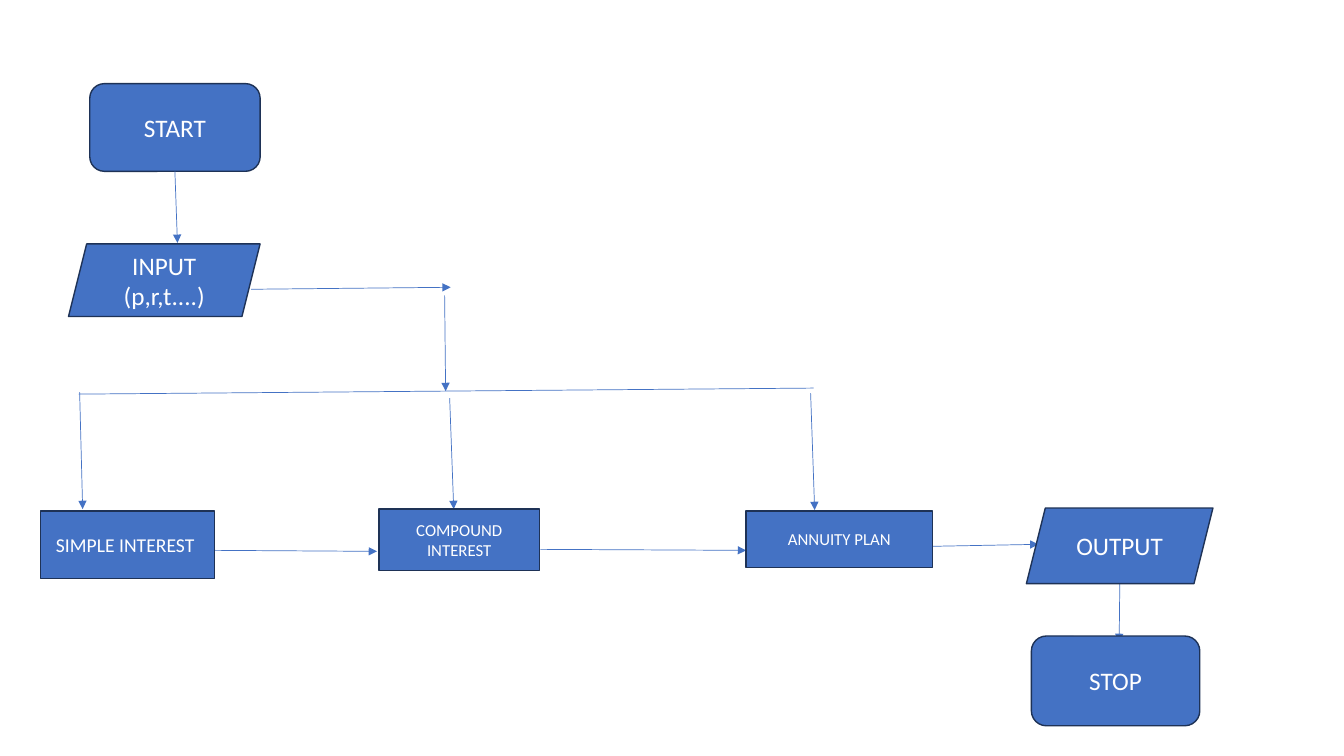
"""Draw a flowchart of an interest calculator on one slide."""
import pptx
import pptx.util
import pptx.dml.color
import pptx.enum.shapes
import pptx.enum.text
import pptx.oxml
import pptx.oxml.ns

Inches = pptx.util.Inches
Pt = pptx.util.Pt
KIND = pptx.enum.shapes.MSO_SHAPE
COLORS = {"fill": "4472C4", "edge": "1E3256", "text": "FFFFFF"}

deck = pptx.Presentation()
deck.slide_width = Inches(13.33)
deck.slide_height = Inches(7.5)
slide = deck.slides.add_slide(deck.slide_layouts[6])


def rgb(name):
    return pptx.dml.color.RGBColor.from_string(COLORS[name])


def add_box(text, kind=KIND.RECTANGLE, place=(0, 0, 1, 1), size=18):
    box = slide.shapes.add_shape(kind, *map(Inches, place))
    box.shadow.inherit = False
    box.fill.solid()
    box.fill.fore_color.rgb = rgb("fill")
    box.line.color.rgb = rgb("edge")
    box.line.width = Pt(1)
    frame = box.text_frame
    frame.word_wrap = True
    frame.vertical_anchor = pptx.enum.text.MSO_ANCHOR.MIDDLE
    frame.text = text
    for para in frame.paragraphs:
        para.alignment = pptx.enum.text.PP_ALIGN.CENTER
        para.font.name = "Calibri"
        para.font.size = Pt(size)
        para.font.color.rgb = rgb("text")
    return box


start = add_box("START", kind=KIND.ROUNDED_RECTANGLE, place=(0.89, 0.83, 1.69, 0.87))

lines = [
    (1.74, 1.7, 1.76, 2.41, start, True),
    (2.49, 2.87, 4.47, 2.85, None, True),
    (4.41, 2.93, 4.42, 3.88, None, True),
    (0.78, 3.91, 8.07, 3.85, None, False),
    (0.79, 3.89, 0.82, 5.05, None, True),
    (4.46, 3.95, 4.5, 5.05, None, True),
    (8.04, 3.9, 8.08, 5.06, None, True),
    (2.13, 5.46, 3.74, 5.47, None, True),
    (5.36, 5.45, 7.4, 5.46, None, True),
    (9.25, 5.42, 10.3, 5.4, None, True),
    (11.11, 5.48, 11.1, 6.37, None, True),
]
for *ends, source, arrow in lines:
    line = slide.shapes.add_connector(
        pptx.enum.shapes.MSO_CONNECTOR.STRAIGHT, *map(Inches, ends))
    if source:
        line.begin_connect(source, 2)
    line.line.color.rgb = rgb("fill")
    line.line.width = Pt(0.5)
    if arrow:
        head = pptx.oxml.parse_xml(
            f'<a:tailEnd {pptx.oxml.ns.nsdecls("a")} type="triangle"/>')
        line.line._get_or_add_ln().append(head)
    flat = pptx.oxml.parse_xml(f'<a:effectLst {pptx.oxml.ns.nsdecls("a")}/>')
    line._element.spPr.append(flat)

steps = [
    ("INPUT\n(p,r,t....)", KIND.PARALLELOGRAM, (0.68, 2.42, 1.9, 0.72), 18),
    ("SIMPLE INTEREST ", KIND.RECTANGLE, (0.4, 5.07, 1.73, 0.67), 14),
    ("COMPOUND INTEREST", KIND.RECTANGLE, (3.76, 5.05, 1.59, 0.61), 12),
    ("ANNUITY PLAN", KIND.RECTANGLE, (7.4, 5.07, 1.85, 0.56), 12),
    ("OUTPUT", KIND.PARALLELOGRAM, (10.18, 5.04, 1.85, 0.75), 18),
    ("STOP", KIND.ROUNDED_RECTANGLE, (10.23, 6.31, 1.67, 0.89), 18),
]
for text, kind, place, size in steps:
    add_box(text, kind=kind, place=place, size=size)

deck.save("out.pptx")
